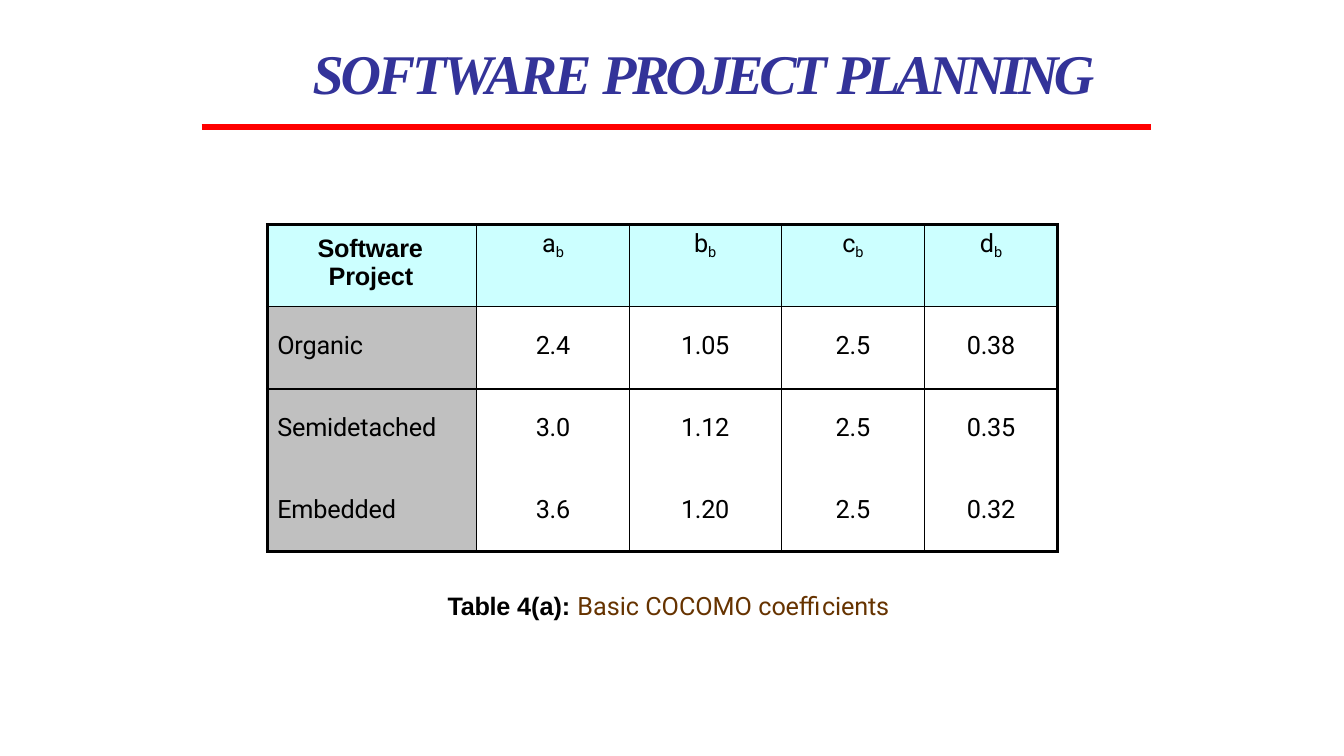
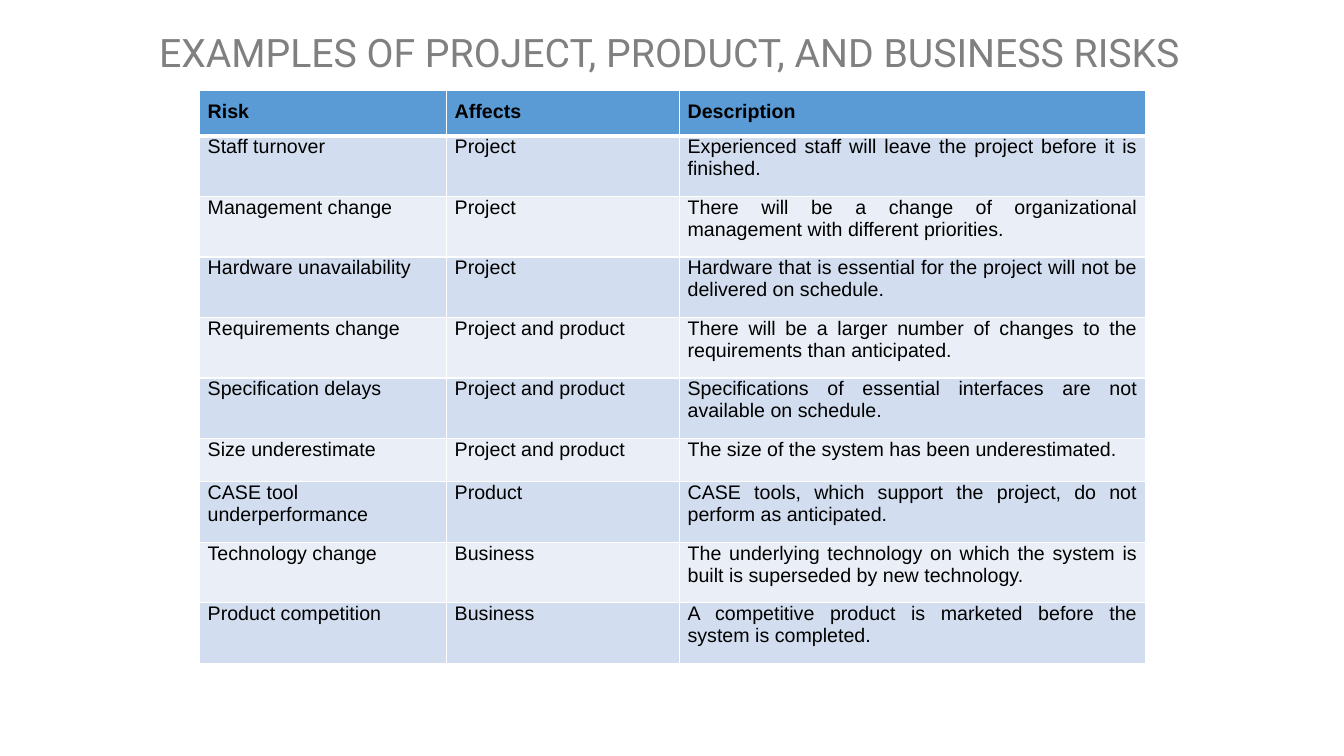
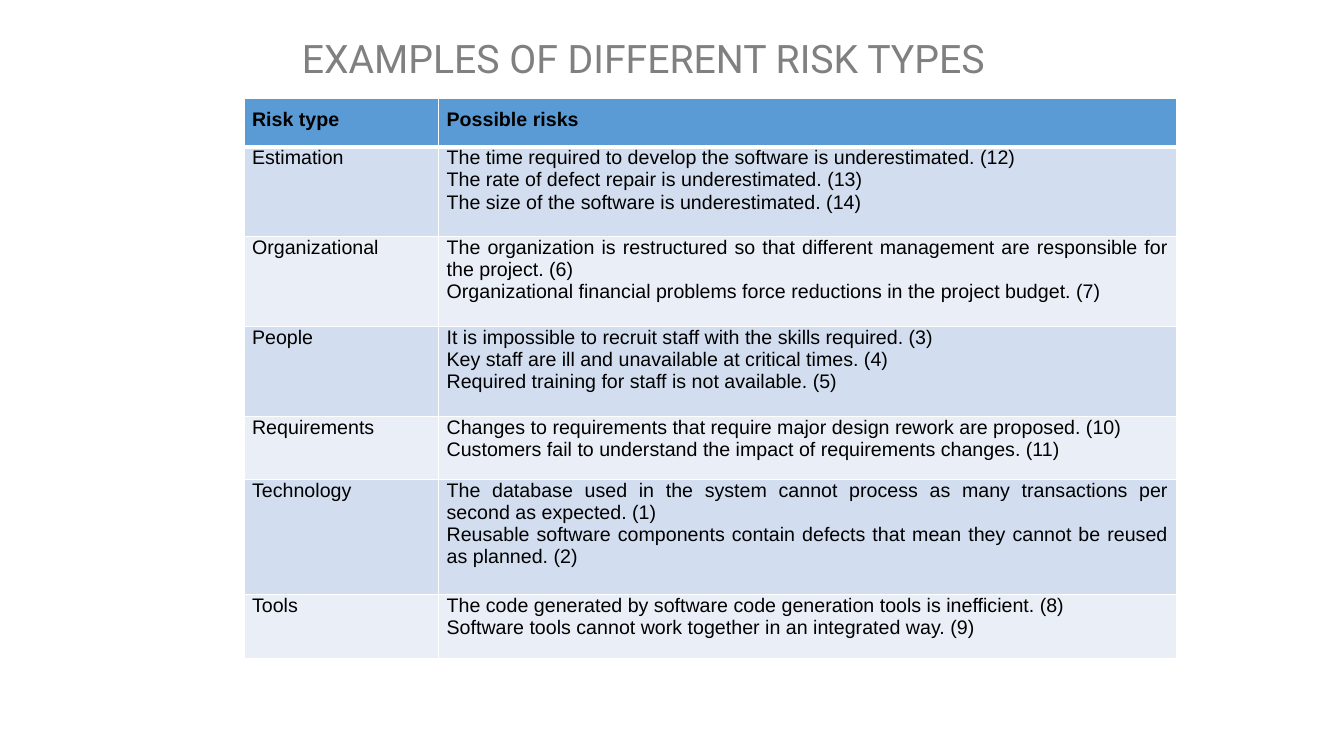
from pptx import Presentation
from pptx.dml.color import RGBColor as RGB
from pptx.enum.shapes import MSO_CONNECTOR as LINE
from pptx.enum.text import MSO_ANCHOR as ANCHOR, PP_ALIGN as ALIGN
from pptx.oxml.ns import qn
from pptx.util import Inches, Pt
from lxml.etree import SubElement as Sub

COLORS = {
    "black": "000000", "white": "FFFFFF", "navy": "333399", "red": "FF0000",
    "brown": "663300", "gray": "808080", "cyan": "CCFFFF", "silver": "C0C0C0",
    "blue": "5B9BD5", "band": "D2DEEF", "pale": "EAEFF7",
}
SANS, BODY, SERIF = "Arial", "Roboto", "Times New Roman"

MODELS = [
    ("Organic", "2.4", "1.05", "2.5", "0.38"),
    ("Semidetached", "3.0", "1.12", "2.5", "0.35"),
    ("Embedded", "3.6", "1.20", "2.5", "0.32"),
]
RISKS = [
    ("Risk", "Affects", "Description"),
    ("Staff turnover", "Project",
     "Experienced staff will leave the project before it is finished."),
    ("Management change", "Project",
     "There will be a change of organizational management with different "
     "priorities."),
    ("Hardware unavailability", "Project",
     "Hardware that is essential for the project will not be delivered on "
     "schedule."),
    ("Requirements change", "Project and product",
     "There will be a larger number of changes to the requirements than "
     "anticipated."),
    ("Specification delays", "Project and product",
     "Specifications of essential interfaces are not available on schedule."),
    ("Size underestimate", "Project and product",
     "The size of the system has been underestimated."),
    ("CASE tool underperformance", "Product",
     "CASE tools, which support the project, do not perform as anticipated."),
    ("Technology change", "Business",
     "The underlying technology on which the system is built is superseded "
     "by new technology."),
    ("Product competition", "Business",
     "A competitive product is marketed before the system is completed."),
]
TYPES = [
    ("Risk type", "Possible risks"),
    ("Estimation",
     "The time required to develop the software is underestimated. (12)\n"
     "The rate of defect repair is underestimated. (13)\n"
     "The size of the software is underestimated. (14)"),
    ("Organizational",
     "The organization is restructured so that different management are "
     "responsible for the project. (6)\n"
     "Organizational financial problems force reductions in the project "
     "budget. (7)"),
    ("People",
     "It is impossible to recruit staff with the skills required. (3)\n"
     "Key staff are ill and unavailable at critical times. (4)\n"
     "Required training for staff is not available. (5)"),
    ("Requirements",
     "Changes to requirements that require major design rework are "
     "proposed. (10)\n"
     "Customers fail to understand the impact of requirements changes. (11)"),
    ("Technology",
     "The database used in the system cannot process as many transactions "
     "per second as expected. (1)\n"
     "Reusable software components contain defects that mean they cannot be "
     "reused as planned. (2)"),
    ("Tools",
     "The code generated by software code generation tools is "
     "inefficient. (8)\n"
     "Software tools cannot work together in an integrated way. (9)"),
]


def color(name):
    return RGB.from_string(COLORS[name])


def add_run(par, text, size, face=BODY, ink="black", bold=False,
            slant=False, track=0, base=0):
    """Add a run; track is letter spacing in points, base a shift in %."""
    run = par.add_run()
    run.text = text
    font = run.font
    font.size, font.name = Pt(size), face
    font.bold, font.italic = bold, slant
    font.color.rgb = color(ink)
    props = font._element
    if track:
        props.set("spc", str(round(track * 100)))
    if base:
        props.set("baseline", str(base * 1000))


def add_box(slide, area, pads, anchor=ANCHOR.TOP):
    """Add a text box and return its first paragraph."""
    frame = slide.shapes.add_textbox(*map(Inches, area)).text_frame
    frame.word_wrap = True
    frame.vertical_anchor = anchor
    (frame.margin_left, frame.margin_top,
     frame.margin_right, frame.margin_bottom) = map(Inches, pads)
    return frame.paragraphs[0]


def add_title(slide, area, text, align=ALIGN.LEFT):
    par = add_box(slide, area, (0.1, 0.05, 0.1, 0.05), ANCHOR.MIDDLE)
    par.alignment = align
    par.line_spacing = 0.9
    add_run(par, text, 28, ink="gray")


def add_rule(slide, x, y, width):
    rule = slide.shapes.add_connector(
        LINE.STRAIGHT, Inches(x), Inches(y), Inches(x + width), Inches(y))
    rule.line.color.rgb = color("red")
    rule.line.width = Pt(4.5)
    Sub(rule._element.spPr, qn("a:effectLst"))


def add_grid(slide, x, y, cols, rows):
    """Add a plain table with the given column widths and row heights."""
    grid = slide.shapes.add_table(
        len(rows), len(cols), Inches(x), Inches(y),
        Inches(sum(cols)), Inches(sum(rows))).table
    grid.first_row = grid.horz_banding = False
    for col, width in zip(grid.columns, cols):
        col.width = Inches(width)
    for row, height in zip(grid.rows, rows):
        row.height = Inches(height)
    return grid


def style_cell(cell, fill, edges, ink, pads):
    """Set fill, edge widths (left, right, top, bottom) and insets."""
    props = cell._tc.get_or_add_tcPr()
    for side, width in zip("LRTB", edges):
        line = Sub(props, qn("a:ln" + side), w=str(Pt(width)))
        if width:
            paint = Sub(line, qn("a:solidFill"))
            Sub(paint, qn("a:srgbClr"), val=COLORS[ink])
        else:
            Sub(line, qn("a:noFill"))
    cell.fill.solid()
    cell.fill.fore_color.rgb = color(fill)
    (cell.margin_left, cell.margin_top,
     cell.margin_right, cell.margin_bottom) = map(Inches, pads)


def add_risks(slide, x, y, cols, rows, data):
    """Add a banded table whose last column is justified."""
    grid = add_grid(slide, x, y, cols, rows)
    for r, items in enumerate(data):
        head = r == 0
        fill = "blue" if head else ("pale", "band")[r % 2]
        edges = (1, 1, 3 if r == 1 else 1, 3 if head else 1)
        for c, text in enumerate(items):
            cell = grid.cell(r, c)
            style_cell(cell, fill, edges, "white",
                       (0.08, 0.1 if head else 0, 0.08, 0.1))
            frame = cell.text_frame
            for n, line in enumerate(text.split("\n")):
                par = frame.add_paragraph() if n else frame.paragraphs[0]
                last = c == len(cols) - 1
                par.alignment = ALIGN.JUSTIFY if last else ALIGN.LEFT
                add_run(par, line, 14, SANS, bold=head)


def add_models(slide):
    cols = [2.08, 1.51, 1.51, 1.42, 1.32]
    rows = [0.81, 0.82, 0.81, 0.8]
    tops = [0.04, 0.25, 0.24, 0.24]
    levels = [2.25, 1, 1, 0, 2.25]
    walls = [2.25, 1, 1, 1, 1, 2.25]
    heads = ["Software Project", "a", "b", "c", "d"]
    grid = add_grid(slide, 2.65, 2.23, cols, rows)
    for r, items in enumerate([heads] + MODELS):
        for c, text in enumerate(items):
            cell = grid.cell(r, c)
            fill = "cyan" if r == 0 else "white" if c else "silver"
            top = 0.1 if r == c == 0 else tops[r]
            edges = (walls[c], walls[c + 1], levels[r], levels[r + 1])
            style_cell(cell, fill, edges, "black", (0, top, 0, 0))
            par = cell.text_frame.paragraphs[0]
            if c:
                par.alignment = ALIGN.CENTER
                add_run(par, text, 18, track=-0.2)
                if r == 0:
                    add_run(par, "b", 18, track=-0.4, base=-21)
            elif r:
                cell.margin_left = Inches(0.1)
                add_run(par, text, 18, track=-0.1)
            else:
                props = par._p.get_or_add_pPr()
                props.set("marL", str(Inches(0.61)))
                props.set("indent", str(Inches(-0.11)))
                add_run(par, text, 18, SANS, bold=True, track=-0.1)


def add_plan(slide):
    add_models(slide)
    par = add_box(slide, (4.43, 5.85, 4.6, 0.33), (0.01, 0.01, 0, 0))
    add_run(par, "Table ", 18, SANS, bold=True, track=-0.2)
    add_run(par, "4(a): ", 18, SANS, bold=True)
    add_run(par, "Basic COCOMO ", 18, ink="brown")
    add_run(par, "coefficients", 18, ink="brown", track=-0.1)
    par = add_box(slide, (2.54, 0.1, 10.7, 0.96), (0.56, 0.28, 0, 0),
                  ANCHOR.MIDDLE)
    for text, track in (("SOFTWARE ", -2.2), ("PROJECT ", -2.9),
                        ("PLANNING", -3.2)):
        add_run(par, text, 40, SERIF, "navy", True, True, track)
    add_rule(slide, 2, 1.26, 9.42)


def main():
    deck = Presentation()
    deck.slide_width, deck.slide_height = Inches(13.33), Inches(7.5)
    blank = deck.slide_layouts[6]
    plan, risks, types = (deck.slides.add_slide(blank) for _ in range(3))

    add_plan(plan)

    add_title(risks, (1.48, 0.18, 11.5, 0.72),
              "EXAMPLES OF PROJECT, PRODUCT, AND BUSINESS RISKS")
    add_risks(risks, 1.98, 0.9, [2.45, 2.31, 4.62],
              [0.45] + [0.6] * 5 + [0.43] + [0.6] * 3, RISKS)

    add_title(types, (0.63, 0.24, 11.5, 0.73),
              "EXAMPLES OF DIFFERENT RISK TYPES", ALIGN.CENTER)
    add_risks(types, 2.42, 0.98, [1.93, 7.32],
              [0.48, 0.89, 0.89, 0.89, 0.63, 1.14, 0.63], TYPES)

    deck.save("out.pptx")


if __name__ == "__main__":
    main()
